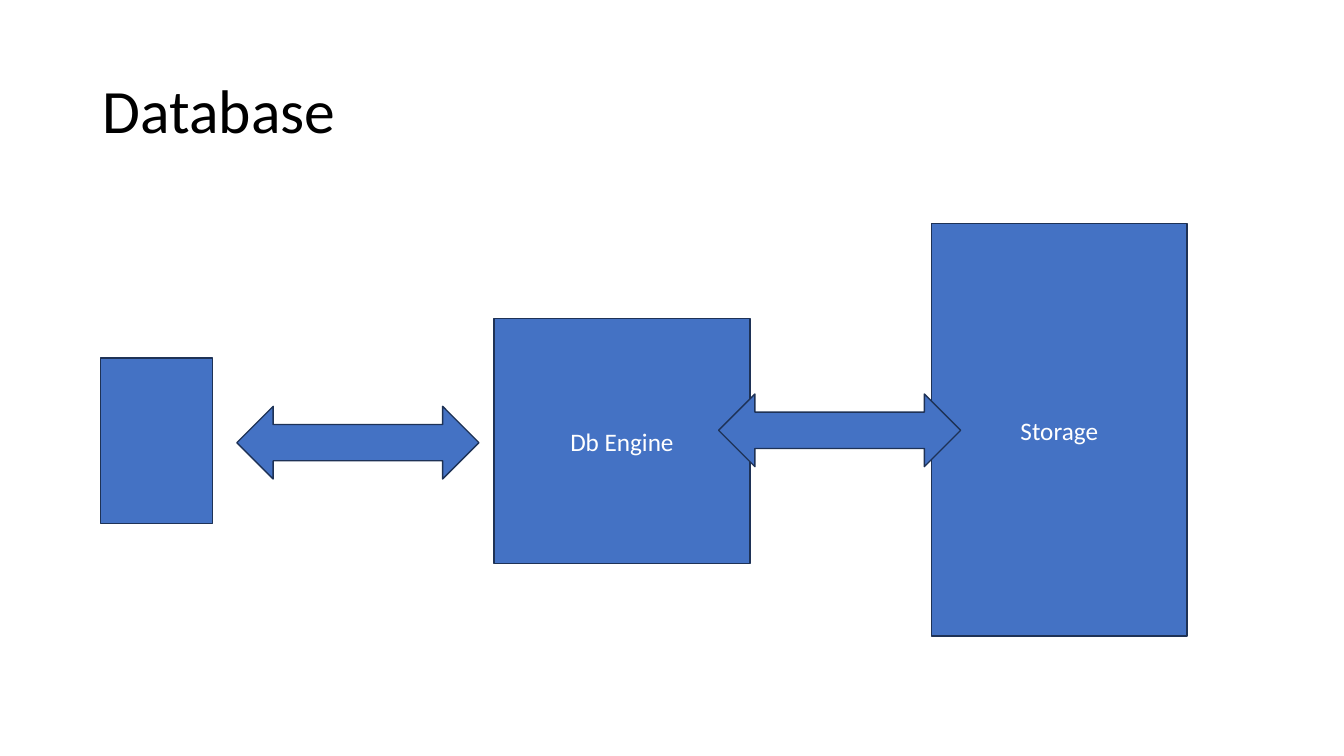
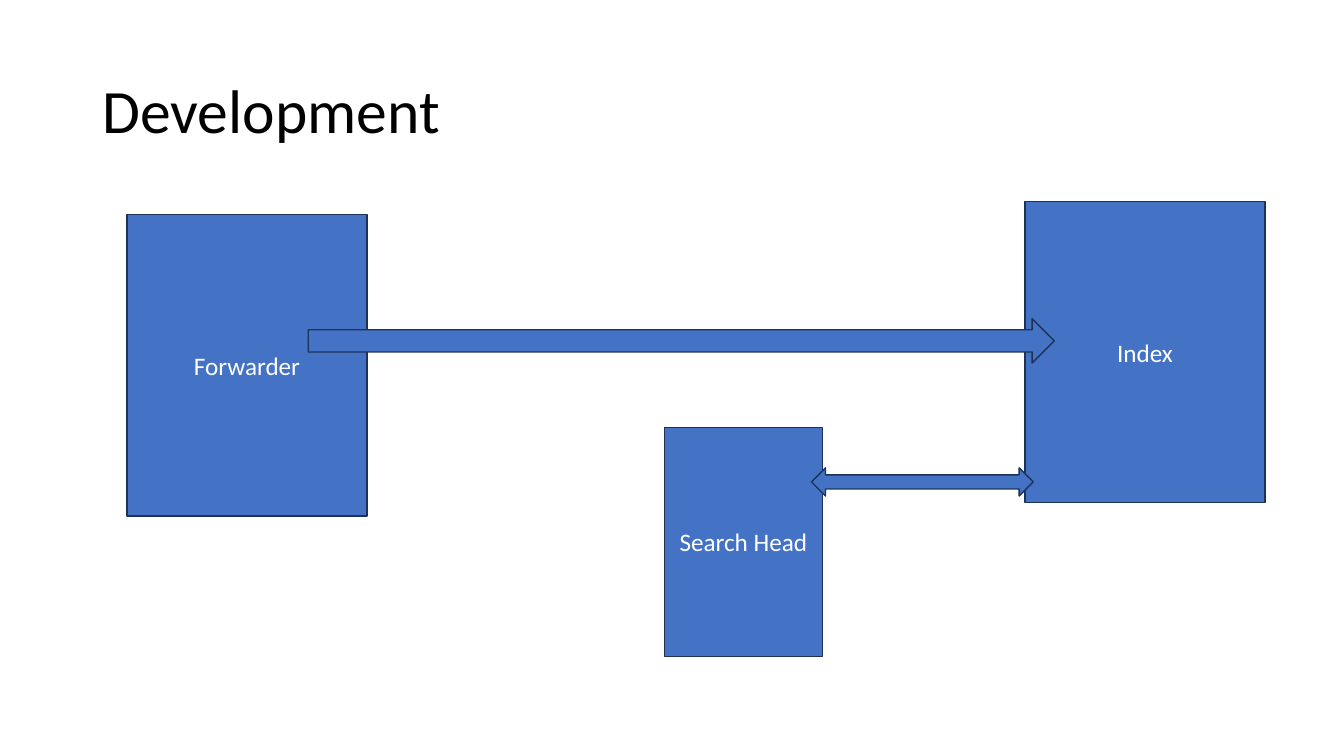
"""Build two block diagrams: a database and a development set-up."""
from pptx import Presentation
from pptx.dml.color import RGBColor
from pptx.enum.shapes import MSO_SHAPE as Preset
from pptx.enum.text import MSO_ANCHOR as Anchor, MSO_AUTO_SIZE as AutoSize, PP_ALIGN as Align
from pptx.util import Cm, Pt

BLOCK_FILL = "4472C4"
BLOCK_EDGE = "1E3256"
TITLE_FONT = {"name": "Calibri", "size": Pt(44), "bold": False}
LABEL_FONT = {"name": "Calibri", "size": Pt(18), "bold": False}
TITLE_PLACE = {"left": Cm(2.33), "top": Cm(1.01), "width": Cm(29.21), "height": Cm(3.68)}
TITLE_FRAME = {"vertical_anchor": Anchor.MIDDLE, "auto_size": AutoSize.NONE, "word_wrap": True}
LABEL_FRAME = {"vertical_anchor": Anchor.MIDDLE, "word_wrap": True}
TITLE_PARAGRAPH = {"alignment": Align.LEFT, "line_spacing": 0.9}
LABEL_PARAGRAPH = {"alignment": Align.CENTER}

BOX, BOTH_WAYS, ONE_WAY = Preset.RECTANGLE, Preset.LEFT_RIGHT_ARROW, Preset.RIGHT_ARROW
DIAGRAMS = {
    "Database": [
        (BOX, "Db Engine", 12.45, 8.03, 6.45, 6.17),
        (BOX, "Storage", 23.47, 5.64, 6.45, 10.39),
        (BOX, "", 2.54, 9.02, 2.82, 4.17),
        (BOTH_WAYS, "", 5.97, 10.24, 6.1, 1.83),
        (BOTH_WAYS, "", 18.11, 9.93, 6.1, 1.83),
    ],
    "Development": [
        (BOX, "Forwarder", 3.2, 5.41, 6.05, 7.59),
        (BOX, "Index", 25.83, 5.08, 6.05, 7.59),
        (ONE_WAY, "", 7.77, 8.03, 18.8, 1.12),
        (BOX, "Search Head", 16.74, 10.77, 3.99, 5.77),
        (BOTH_WAYS, "", 20.45, 11.79, 5.59, 0.71),
    ],
}


def color(hex_value):
    return RGBColor.from_string(hex_value)


def write(frame, wording, frame_format, paragraph_format, font_format, ink):
    frame.text = wording
    paragraph = frame.paragraphs[0]
    font = paragraph.runs[0].font
    for target, values in ((frame, frame_format), (paragraph, paragraph_format), (font, font_format)):
        for attribute, value in values.items():
            setattr(target, attribute, value)
    font.color.rgb = color(ink)


deck = Presentation()
deck.slide_width, deck.slide_height = Cm(33.87), Cm(19.05)
title_only = deck.slide_layouts[5]

for heading, parts in DIAGRAMS.items():
    slide = deck.slides.add_slide(title_only)
    title = slide.shapes.title
    for attribute, value in TITLE_PLACE.items():
        setattr(title, attribute, value)
    write(title.text_frame, heading, TITLE_FRAME, TITLE_PARAGRAPH, TITLE_FONT, "000000")

    for preset, label, *place in parts:
        block = slide.shapes.add_shape(preset, *map(Cm, place))
        block.shadow.inherit = False
        block.fill.solid()
        block.fill.fore_color.rgb = color(BLOCK_FILL)
        block.line.color.rgb = color(BLOCK_EDGE)
        block.line.width = Pt(1)
        if label:
            write(block.text_frame, label, LABEL_FRAME, LABEL_PARAGRAPH, LABEL_FONT, "FFFFFF")

deck.save("out.pptx")
